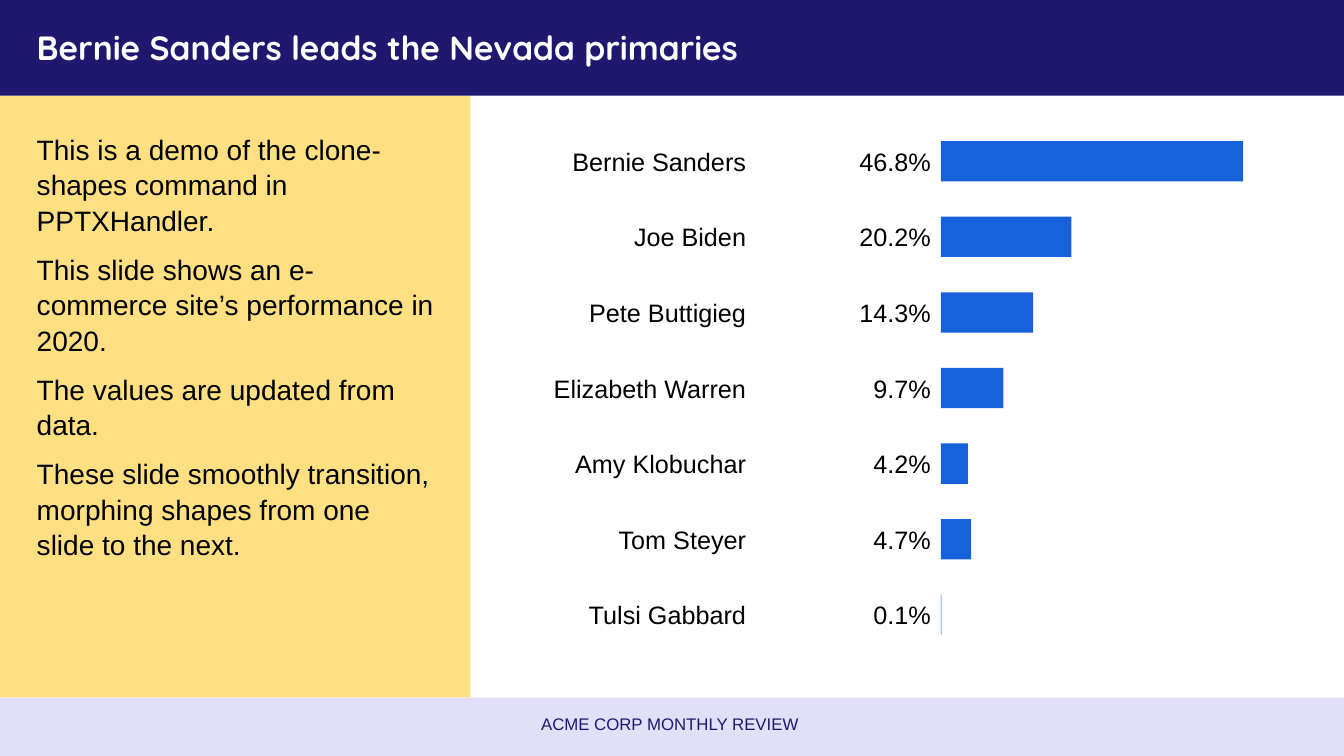
from lxml import etree
from pptx import Presentation
from pptx.dml.color import RGBColor
from pptx.enum.shapes import MSO_SHAPE
from pptx.enum.text import MSO_ANCHOR, PP_ALIGN
from pptx.oxml.ns import qn
from pptx.util import Pt

RECTANGLE = MSO_SHAPE.RECTANGLE
TOP, MIDDLE = MSO_ANCHOR.TOP, MSO_ANCHOR.MIDDLE
LEFT, CENTER, RIGHT = PP_ALIGN.LEFT, PP_ALIGN.CENTER, PP_ALIGN.RIGHT

NAVY = RGBColor(0x20, 0x18, 0x6F)
AMBER = RGBColor(0xFE, 0xC1, 0x07)
LAVENDER = RGBColor(0xC6, 0xC1, 0xF2)
BLUE = RGBColor(0x17, 0x62, 0xDB)
BLACK = RGBColor(0, 0, 0)
WHITE = RGBColor(0xFF, 0xFF, 0xFF)

SLIDE_WIDTH, SLIDE_HEIGHT = 960, 540
HEADER_HEIGHT = 68.4
FOOTER_TOP = 498.24
ROW_TOP, ROW_PITCH, ROW_HEIGHT = 100.8, 54, 28.8
BAR_LEFT, LONGEST_BAR = 672, 216
VALUE_WIDTH = 75

COMMENTARY = [
    "This is a demo of the clone-shapes command in PPTXHandler.",
    "This slide shows an e-commerce site’s performance in 2020.",
    "The values are updated from data.",
    "These slide smoothly transition, morphing shapes from one slide to the next.",
]
RESULTS = [
    ("Bernie Sanders", 46.8),
    ("Joe Biden", 20.2),
    ("Pete Buttigieg", 14.3),
    ("Elizabeth Warren", 9.7),
    ("Amy Klobuchar", 4.2),
    ("Tom Steyer", 4.7),
    ("Tulsi Gabbard", 0.1),
]


def write_paragraph(paragraph, text, *, size=18, font="Arial", color=BLACK,
                    bold=False, align=LEFT, before=0, line_spacing=1.0):
    paragraph.text = text
    paragraph.alignment = align
    paragraph.space_before = Pt(before)
    paragraph.line_spacing = line_spacing
    paragraph.font.size = Pt(size)
    paragraph.font.name = font
    paragraph.font.bold = bold
    paragraph.font.color.rgb = color


class SlideBuilder:
    def __init__(self, slide):
        self.slide = slide

    def rectangle(self, left, top, width, height, color, opacity=100, group=None):
        shapes = (group or self.slide).shapes
        shape = shapes.add_shape(RECTANGLE, Pt(left), Pt(top), Pt(width), Pt(height))
        shape.shadow.inherit = False
        shape.fill.solid()
        shape.fill.fore_color.rgb = color
        shape.line.fill.background()
        if opacity < 100:
            fill_color = shape.element.spPr.find(qn("a:solidFill"))[0]
            etree.SubElement(fill_color, qn("a:alpha"), val=str(opacity * 1000))

    def text(self, left, top, width, height, texts, anchor=MIDDLE, gap=0,
             group=None, **style):
        shapes = (group or self.slide).shapes
        shape = shapes.add_textbox(Pt(left), Pt(top), Pt(width), Pt(height))
        frame = shape.text_frame
        frame.word_wrap = True
        frame.vertical_anchor = anchor
        for index, text in enumerate(texts):
            paragraph = frame.add_paragraph() if index else frame.paragraphs[0]
            write_paragraph(paragraph, text, before=gap if index else 0, **style)

    def result_row(self, top, name, share, scale):
        group = self.slide.shapes.add_group_shape()
        self.text(360, top, 180, ROW_HEIGHT, [name], align=RIGHT, group=group)
        self.rectangle(BAR_LEFT, top, share * scale, ROW_HEIGHT, BLUE, group=group)
        self.text(BAR_LEFT - VALUE_WIDTH, top, VALUE_WIDTH, ROW_HEIGHT,
                  [f"{share}%"], align=RIGHT, group=group)


def main():
    presentation = Presentation()
    presentation.slide_width = Pt(SLIDE_WIDTH)
    presentation.slide_height = Pt(SLIDE_HEIGHT)
    builder = SlideBuilder(presentation.slides.add_slide(presentation.slide_layouts[6]))

    builder.rectangle(0, HEADER_HEIGHT, 336, FOOTER_TOP - HEADER_HEIGHT, AMBER, 50)
    builder.rectangle(0, FOOTER_TOP, SLIDE_WIDTH, SLIDE_HEIGHT - FOOTER_TOP, LAVENDER, 50)
    builder.rectangle(0, 0, SLIDE_WIDTH, HEADER_HEIGHT, NAVY)

    builder.text(19.2, 8.8, 921.6, 50.4, ["Bernie Sanders leads the Nevada primaries"],
                 size=24, font="Quicksand", color=WHITE, bold=True)
    builder.text(19.2, 90, 299, 403, COMMENTARY, anchor=TOP, gap=10, size=20,
                 line_spacing=1.05)
    builder.text(147, 502.8, 663, 28.8, ["ACME CORP MONTHLY REVIEW"],
                 size=12, color=NAVY, align=CENTER)

    scale = LONGEST_BAR / max(share for _, share in RESULTS)
    for index, (name, share) in enumerate(RESULTS):
        builder.result_row(ROW_TOP + index * ROW_PITCH, name, share, scale)

    presentation.save("out.pptx")


if __name__ == "__main__":
    main()
